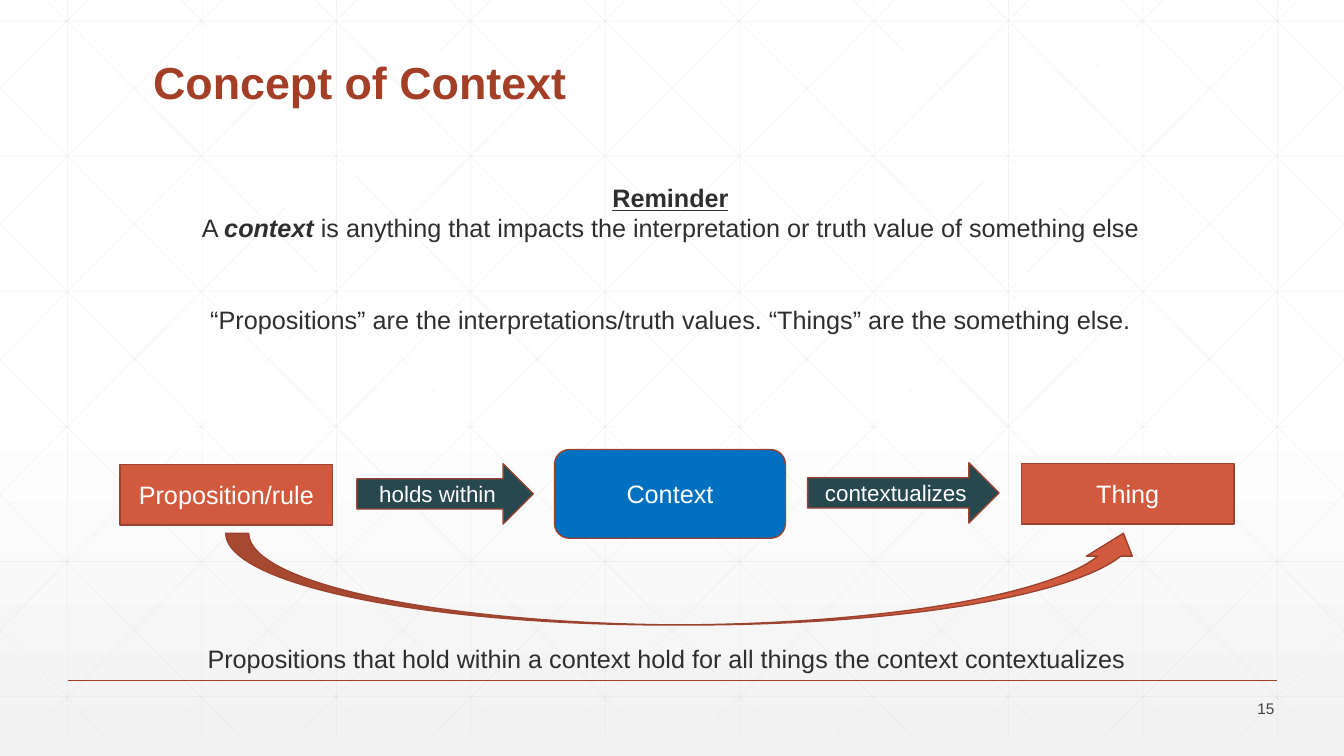
from lxml.etree import SubElement
from pptx import Presentation
from pptx.dml.color import RGBColor
from pptx.enum.shapes import MSO_CONNECTOR, MSO_SHAPE
from pptx.enum.text import MSO_ANCHOR, MSO_AUTO_SIZE, PP_ALIGN
from pptx.oxml.ns import qn
from pptx.util import Inches, Pt

WIDTH, HEIGHT = 13.33, 7.5
RUST, OUTLINE, ORANGE = "A43F27", "9B432E", "D15A3E"
BLUE, TEAL, INK, WHITE = "0070C0", "284850", "2D2E2D", "FFFFFF"


def colour(value):
    return RGBColor.from_string(value)


def add_text(box, text, first=True, size=18, ink=INK, bold=False, italic=False,
             underline=False, align=PP_ALIGN.LEFT, before=0, spacing=None):
    """Write text as a new paragraph of box; a list gives (text, emphasised) spans."""
    frame = box.text_frame
    para = frame.paragraphs[0] if first else frame.add_paragraph()
    para.alignment = align
    if before:
        para.space_before = Pt(before)
    if spacing:
        para.line_spacing = spacing
    spans = [(text, False)] if isinstance(text, str) else text
    for words, emphasised in spans:
        span = para.add_run()
        span.text = words
        span.font.name = "Arial"
        span.font.size = Pt(size)
        span.font.bold = bold or emphasised
        span.font.italic = italic or emphasised
        span.font.underline = underline
        span.font.color.rgb = colour(ink)


def add_box(page, left, top, width, height, wrap=True, anchor=MSO_ANCHOR.TOP):
    box = page.shapes.add_textbox(*map(Inches, (left, top, width, height)))
    box.text_frame.word_wrap = wrap
    box.text_frame.vertical_anchor = anchor
    if not wrap:
        box.text_frame.auto_size = MSO_AUTO_SIZE.SHAPE_TO_FIT_TEXT
    return box


def add_node(page, kind, left, top, width, height, fill, text="", size=18):
    """Add an outlined shape with centred white text."""
    node = page.shapes.add_shape(kind, *map(Inches, (left, top, width, height)))
    node.shadow.inherit = False
    node.fill.solid()
    node.fill.fore_color.rgb = colour(fill)
    node.line.color.rgb = colour(OUTLINE)
    node.line.width = Pt(1)
    if text:
        node.text_frame.word_wrap = True
        node.text_frame.vertical_anchor = MSO_ANCHOR.MIDDLE
        add_text(node, text, size=size, ink=WHITE, align=PP_ALIGN.CENTER)


def add_line(shapes, start, end, ink, weight, opacity=None):
    line = shapes.add_connector(MSO_CONNECTOR.STRAIGHT, *map(Inches, (*start, *end)))
    line.line.color.rgb = colour(ink)
    line.line.width = Pt(weight)
    properties = line._element.spPr
    if opacity:
        tone = next(properties.iter(qn("a:srgbClr")))
        SubElement(tone, qn("a:alpha")).set("val", str(opacity * 1000))
    SubElement(properties, qn("a:effectLst"))


def draw_background(page):
    fill = page.background.fill
    fill.gradient()
    fill.gradient_angle = 270
    for stop, position, tone in zip(fill.gradient_stops, (0.53, 1), (WHITE, "F2F2F2")):
        stop.position = position
        stop.color.rgb = colour(tone)


def draw_lattice(page, top, bottom, step=4 / 3):
    """Draw upright, level and mirrored diagonal lines, clipped at the slide sides."""
    lines = [((0.67 + step * i, top), (0.67 + step * i, bottom)) for i in range(10)]
    lines += [((0, 0.21 + 1.34 * i), (WIDTH, 0.21 + 1.34 * i)) for i in range(6)]
    run = 7.45
    slope = (bottom - top) / run
    for i in range(-5, 10):
        origin = 0.25 + step * i
        left, right = max(origin, 0), min(origin + run, WIDTH)
        upper, lower = (top + (x - origin) * slope for x in (left, right))
        lines.append(((left, upper), (right, lower)))
        lines.append(((WIDTH - left, upper), (WIDTH - right, lower)))
    group = page.shapes.add_group_shape()
    for start, end in lines:
        add_line(group.shapes, start, end, "D9D9D9", 0.5, opacity=25)


def draw_title(page, left, top, width, height):
    box = add_box(page, left, top, width, height)
    add_text(box, "Concept of Context", size=32, ink=RUST, bold=True, spacing=0.9)


def draw_reminder(page, left, top, width, height):
    box = add_box(page, left, top, width, height, wrap=False)
    centre = PP_ALIGN.CENTER
    add_text(box, "Reminder", bold=True, underline=True, align=centre)
    add_text(box, [("A ", False), ("context", True),
                   (" is anything that impacts the interpretation or truth value"
                    " of something else", False)], first=False, align=centre)
    add_text(box, "“Propositions” are the interpretations/truth values. "
                  "“Things” are the something else.",
             first=False, align=centre, before=44)


def draw_diagram(page, left, top):
    """Draw the chain from proposition to thing, with its return arrow and caption."""
    chain = [
        (MSO_SHAPE.FLOWCHART_ALTERNATE_PROCESS, 4.31, 0, 2.29, 0.88, BLUE, "Context", 18),
        (MSO_SHAPE.RECTANGLE, 0, 0.15, 2.11, 0.6, ORANGE, "Proposition/rule", 18),
        (MSO_SHAPE.RECTANGLE, 8.94, 0.14, 2.11, 0.6, ORANGE, "Thing", 18),
        (MSO_SHAPE.RIGHT_ARROW, 2.35, 0.14, 1.75, 0.6, TEAL, "holds within", 16),
        (MSO_SHAPE.RIGHT_ARROW, 6.82, 0.13, 1.9, 0.6, TEAL, "contextualizes", 16),
        (MSO_SHAPE.CURVED_UP_ARROW, 1.05, 0.83, 9.13, 0.91, ORANGE, "", 18),
    ]
    for kind, x, y, *rest in chain:
        add_node(page, kind, left + x, top + y, *rest)
    caption = add_box(page, left + 0.77, top + 1.87, 9.39, 0.4, wrap=False)
    add_text(caption, "Propositions that hold within a context hold for all things"
                      " the context contextualizes")


def draw_footer(page, left, top, width):
    add_line(page.shapes, (left, top), (left + width, top), RUST, 1)
    box = add_box(page, left + width - 0.93, top + 0.16, 1, 0.24, anchor=MSO_ANCHOR.MIDDLE)
    add_text(box, "15", size=11, ink="424342", align=PP_ALIGN.RIGHT)


def main():
    deck = Presentation()
    deck.slide_width, deck.slide_height = Inches(WIDTH), Inches(HEIGHT)
    page = deck.slides.add_slide(deck.slide_layouts[6])
    draw_background(page)
    draw_lattice(page, -0.21, 7.29)
    draw_title(page, 1.42, 0.55, 10.5, 1.25)
    draw_diagram(page, 1.19, 4.46)
    draw_footer(page, 0.67, 6.75, 12)
    draw_reminder(page, 1.86, 1.76, 9.58, 1.92)
    deck.save("out.pptx")


if __name__ == "__main__":
    main()
